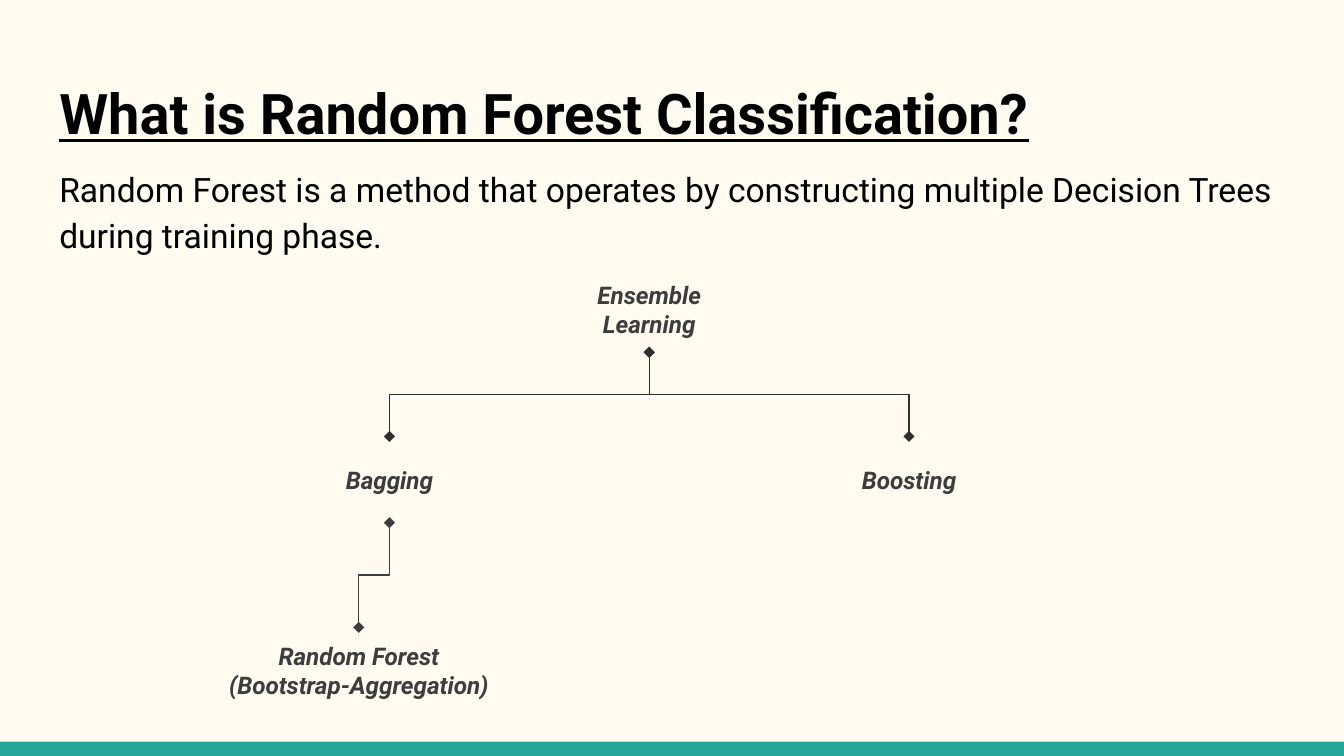
from lxml.etree import SubElement
from pptx import Presentation
from pptx.dml.color import RGBColor
from pptx.enum.shapes import MSO_CONNECTOR, MSO_SHAPE
from pptx.enum.text import MSO_ANCHOR as Anchor, MSO_AUTO_SIZE, PP_ALIGN as Align
from pptx.oxml.ns import qn
from pptx.util import Cm, Pt

TOP, BOTTOM = 0, 2  # connection sites of a rectangle
BLACK, INK, LINE = "000000", "3D3D3D", "2F2F2F"
CREAM, TEAL = "FFFBF0", "26A69A"


def color(value):
    return RGBColor.from_string(value)


class SlideBuilder:
    font_name = "Roboto"
    inset = Cm(0.25)

    def __init__(self, presentation):
        self.slide = presentation.slides.add_slide(presentation.slide_layouts[1])
        fill = self.slide.background.fill
        fill.solid()
        fill.fore_color.rgb = color(CREAM)

    def set_text(self, shape, lines, size, ink, align=Align.LEFT, anchor=Anchor.TOP):
        frame = shape.text_frame
        frame.text = "\n".join(lines)
        frame.word_wrap = True
        frame.auto_size = MSO_AUTO_SIZE.NONE
        frame.vertical_anchor = anchor
        frame.margin_left = frame.margin_right = self.inset
        frame.margin_top = frame.margin_bottom = self.inset
        for paragraph in frame.paragraphs:
            paragraph.alignment = align
            paragraph.space_before = Pt(0)
            paragraph.font.name = self.font_name
            paragraph.font.size = Pt(size)
            paragraph.font.color.rgb = color(ink)
        return frame.paragraphs

    def placeholder(self, index, top, height, text, size):
        shape = self.slide.placeholders[index]
        shape.left, shape.top = Cm(0.87), Cm(top)
        shape.width, shape.height = Cm(23.67), Cm(height)
        return self.set_text(shape, [text], size, BLACK)[0]

    def title(self, text):
        paragraph = self.placeholder(0, 1.24, 1.7, text, 30)
        paragraph.font.bold = paragraph.font.underline = True

    def body(self, text):
        paragraph = self.placeholder(1, 2.82, 2.24, text, 18)
        paragraph.line_spacing = 1.15
        paragraph.space_after = Pt(16)
        properties = paragraph._p.get_or_add_pPr()
        properties.set("marL", "0")
        properties.set("indent", "0")
        bullet = properties.makeelement(qn("a:buNone"))
        properties.find(qn("a:defRPr")).addprevious(bullet)

    def bar(self, left, top, width, height, fill):
        shape = self.slide.shapes.add_shape(
            MSO_SHAPE.RECTANGLE, Cm(left), Cm(top), Cm(width), Cm(height))
        shape.shadow.inherit = False
        shape.fill.solid()
        shape.fill.fore_color.rgb = color(fill)
        shape.line.fill.background()

    def node(self, center, top, lines, width=4.27):
        shape = self.slide.shapes.add_textbox(
            Cm(center - width / 2), Cm(top), Cm(width), Cm(1.63))
        for paragraph in self.set_text(shape, lines, 13, INK, Align.CENTER, Anchor.MIDDLE):
            paragraph.font.bold = paragraph.font.italic = True
        return shape

    def branch(self, parent, child, ink=LINE):
        """Join parent to child by an elbow that leaves and arrives vertically."""
        start_x, start_y = parent.left + parent.width // 2, parent.top + parent.height
        end_x, end_y = child.left + child.width // 2, child.top
        connector = self.slide.shapes.add_connector(
            MSO_CONNECTOR.ELBOW, start_x, start_y, end_x, end_y)
        connector.begin_connect(parent, BOTTOM)
        connector.end_connect(child, TOP)

        # A vertical elbow is the horizontal preset turned about its centre.
        drop, shift = end_y - start_y, abs(end_x - start_x)
        connector.width, connector.height = drop, shift
        connector.left = (start_x + end_x - drop) // 2
        connector.top = (start_y + end_y - shift) // 2
        to_right = end_x > start_x
        transform = connector._element.spPr.find(qn("a:xfrm"))
        transform.set("rot", str((270 if to_right else 90) * 60000))
        transform.set("flipH", str(int(to_right)))
        transform.set("flipV", "0")

        connector.line.color.rgb = color(ink)
        connector.line.width = Pt(0.75)
        line = connector.line._get_or_add_ln()
        for end in ("a:headEnd", "a:tailEnd"):
            SubElement(line, qn(end), type="diamond")
        SubElement(connector._element.spPr, qn("a:effectLst"))


def main():
    presentation = Presentation()
    presentation.slide_width, presentation.slide_height = Cm(25.4), Cm(14.29)
    builder = SlideBuilder(presentation)

    builder.bar(0, 14.02, 25.4, 0.27, TEAL)
    builder.title("What is Random Forest Classification?")
    builder.body("Random Forest is a method that operates by constructing "
                 "multiple Decision Trees during training phase.")

    center, spread = 12.27, 4.91
    ensemble = builder.node(center, 5.03, ["Ensemble Learning"])
    bagging = builder.node(center - spread, 8.25, ["Bagging"])
    boosting = builder.node(center + spread, 8.25, ["Boosting"])
    forest = builder.node(6.78, 11.86, ["Random Forest", "(Bootstrap-Aggregation)"], 7.72)

    builder.branch(ensemble, boosting)
    builder.branch(bagging, forest, INK)
    builder.branch(ensemble, bagging)

    presentation.save("out.pptx")


if __name__ == "__main__":
    main()
